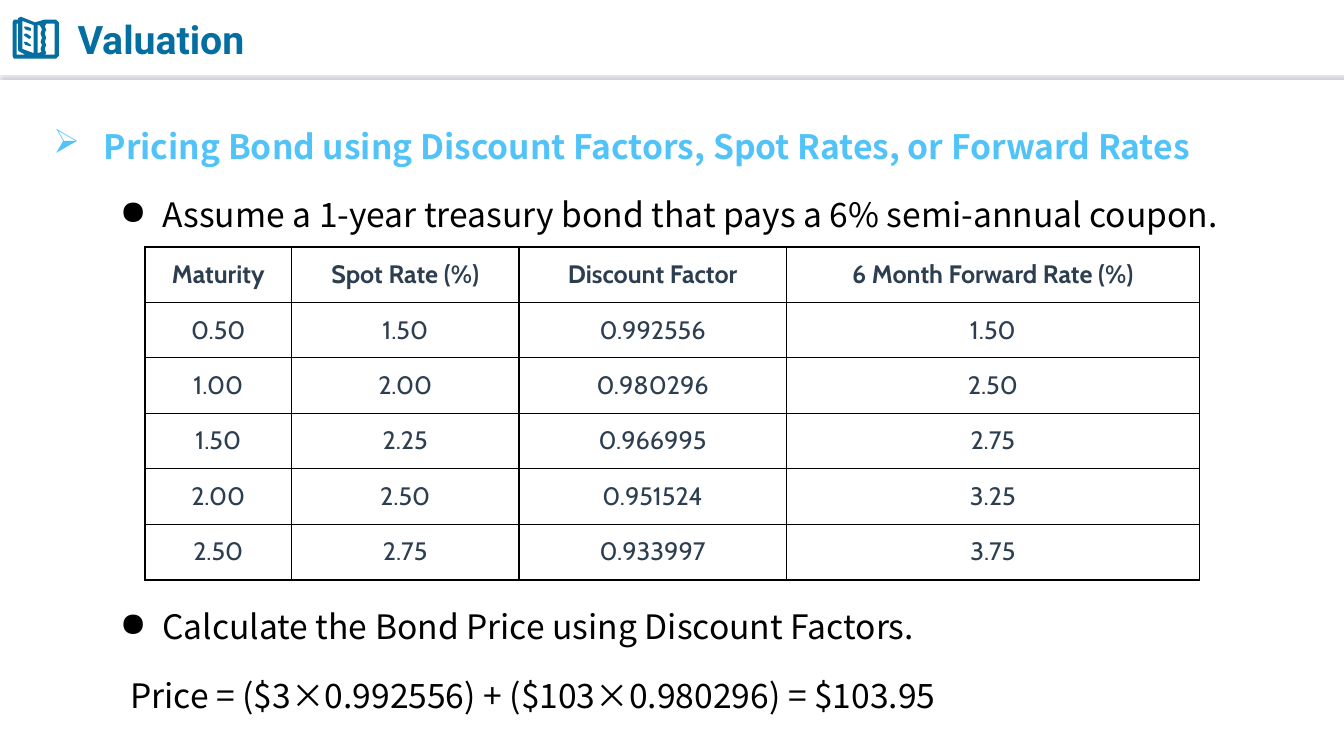
from lxml import etree
from pptx import Presentation
from pptx.dml.color import RGBColor
from pptx.enum.shapes import MSO_CONNECTOR
from pptx.enum.text import MSO_ANCHOR, PP_ALIGN
from pptx.oxml.ns import qn
from pptx.util import Pt

LINE = MSO_CONNECTOR.STRAIGHT
MID = MSO_ANCHOR.MIDDLE
CENTER = PP_ALIGN.CENTER
LEFT = PP_ALIGN.LEFT

BLUE, SKY, INK, BLACK, WHITE = "056EA0", "51C3F9", "2C3E50", "000000", "FFFFFF"
SANS = "Noto Sans CJK SC"

ROWS = [
    ("Maturity", "Spot Rate (%)", "Discount Factor", "6 Month Forward Rate (%)"),
    ("0.50", "1.50", "0.992556", "1.50"),
    ("1.00", "2.00", "0.980296", "2.50"),
    ("1.50", "2.25", "0.966995", "2.75"),
    ("2.00", "2.50", "0.951524", "3.25"),
    ("2.50", "2.75", "0.933997", "3.75"),
]
WIDTHS = (104.4, 162.7, 190.8, 295.2)

BODY = [
    ("Pricing Bond using Discount Factors, Spot Rates, or Forward Rates",
     0, 36, -36, "➢", SKY, 0),
    ("Assume a 1-year treasury bond that pays a 6% semi-annual coupon.",
     1, 77.8, -30.2, "●", BLACK, 0),
    ("Calculate the Bond Price using Discount Factors.",
     1, 77.8, -30.2, "●", BLACK, 245),
    ("Price = ($3×0.992556) + ($103×0.980296) = $103.95",
     2, 55, 0, None, BLACK, 0),
]

COVER = [(14.8, 11.5), (25.2, 15.6), (32, 14.4), (40.3, 14.4), (41.8, 15.8),
         (41.8, 40.3), (40.3, 41.8), (10.1, 41.8), (8.6, 40.3), (8.6, 15.8),
         (10.1, 14.4), (13, 14.4), (13, 13)]
LEAF = [(15.8, 15.1), (15.8, 35.3), (23.8, 38.2), (23.8, 18)]
EDGE = [(11.5, 17.3), (11.5, 38.9), (18, 38.9), (13.7, 37.4), (13, 36), (13, 17.3)]
INNER = [(28.1, 18), (26.6, 18), (26.6, 38.2), (29.5, 37.4)]
OUTER = [(32.4, 38.9), (38.9, 38.9), (38.9, 17.3), (33.1, 17.3)]
MARK = [(18, 18.7), (19.4, 18.7), (22.3, 20.5), (22.3, 21.8), (20.9, 22.3),
        (18, 20.9), (17.3, 19.4)]
STEP = 5.5


def color(code):
    return RGBColor.from_string(code)


def style(font, name, size, code, bold):
    font.name, font.size, font.bold = name, Pt(size), bold
    font.color.rgb = color(code)


def add(parent, tag, **attrs):
    return etree.SubElement(parent, qn(tag), attrs)


def rule(slide):
    line = slide.shapes.add_connector(LINE, Pt(0), Pt(52.6), Pt(960), Pt(52.6))
    line.line.color.rgb = color(WHITE)
    line.line.width = Pt(0.75)
    effects = add(line._element.spPr, "a:effectLst")
    shade = add(effects, "a:outerShdw", blurRad=str(Pt(1)), dist=str(Pt(3)),
                dir="5400000", algn="t", rotWithShape="0")
    add(shade, "a:srgbClr", val="BCB4C4")


def zigzag(near, far):
    return [(far if i % 2 else near, 18.7 + i * STEP / 2) for i in range(8)]


def book(slide):
    marks = [[(x, y + i * STEP) for x, y in MARK] for i in range(3)]
    inner = INNER + zigzag(28.6, 30.2)[::-1]
    outer = OUTER + zigzag(31.7, 33.4)
    paths = [COVER, EDGE, LEAF, inner, outer] + marks
    pen = slide.shapes.build_freeform(*COVER[0], scale=Pt(1))
    for i, path in enumerate(paths):
        if i:
            pen.move_to(*path[0])
        pen.add_line_segments(path[1:], close=True)
    icon = pen.convert_to_shape()
    icon.shadow.inherit = False
    icon.fill.solid()
    icon.fill.fore_color.rgb = color(BLUE)
    icon.line.fill.background()


def heading(slide, text):
    title = slide.shapes.title
    title.left, title.top, title.width, title.height = Pt(48.2), Pt(5), Pt(530), Pt(45.4)
    frame = title.text_frame
    frame.text = text
    frame.vertical_anchor = MID
    para = frame.paragraphs[0]
    para.alignment = LEFT
    style(para.runs[0].font, "Roboto", 28, BLUE, True)


def body(slide):
    box = slide.shapes.add_textbox(Pt(31), Pt(66), Pt(897.8), Pt(445.7))
    frame = box.text_frame
    frame.word_wrap = True
    for i, (text, level, left, hang, mark, code, gap) in enumerate(BODY):
        para = frame.add_paragraph() if i else frame.paragraphs[0]
        para.text = text
        para.level = level
        para.line_spacing = Pt(49)
        if gap:
            para.space_before = Pt(gap)
        props = para._p.get_or_add_pPr()
        props.set("marL", str(Pt(left)))
        props.set("indent", str(Pt(hang)))
        if mark:
            add(props, "a:buChar", char=mark)
        font = para.runs[0].font
        style(font, SANS, 24, code, level == 0)
        add(font._element, "a:ea", typeface=SANS)


def border(cell, sides):
    props = cell._tc.get_or_add_tcPr()
    for i, (side, width) in enumerate(sides):
        edge = etree.Element(qn("a:" + side), w=str(Pt(width)))
        fill = add(edge, "a:solidFill")
        add(fill, "a:srgbClr", val=BLACK)
        props.insert(i, edge)


def rates(slide):
    frame = slide.shapes.add_table(len(ROWS), len(WIDTHS), Pt(103.7), Pt(176.4),
                                   Pt(sum(WIDTHS)), Pt(39.6 * len(ROWS)))
    table = frame.table
    for col, width in zip(table.columns, WIDTHS):
        col.width = Pt(width)
    for r, row in enumerate(ROWS):
        table.rows[r].height = Pt(39.6)
        for c, text in enumerate(row):
            cell = table.cell(r, c)
            cell.fill.background()
            cell.text_frame.text = text
            cell.vertical_anchor = MID
            cell.margin_left = cell.margin_right = Pt(3)
            cell.margin_top = cell.margin_bottom = Pt(3)
            para = cell.text_frame.paragraphs[0]
            para.alignment = CENTER
            style(para.runs[0].font, "Cabin", 18, INK, r == 0)
            ends = (("lnL", c == 0), ("lnR", c == len(WIDTHS) - 1),
                    ("lnT", r == 0), ("lnB", r == len(ROWS) - 1))
            border(cell, [(side, 1.5 if end else 1) for side, end in ends])


def main():
    deck = Presentation()
    deck.slide_width, deck.slide_height = Pt(960), Pt(540)
    slide = deck.slides.add_slide(deck.slide_layouts[5])
    rule(slide)
    book(slide)
    heading(slide, "Valuation")
    body(slide)
    rates(slide)
    deck.save("out.pptx")


if __name__ == "__main__":
    main()
